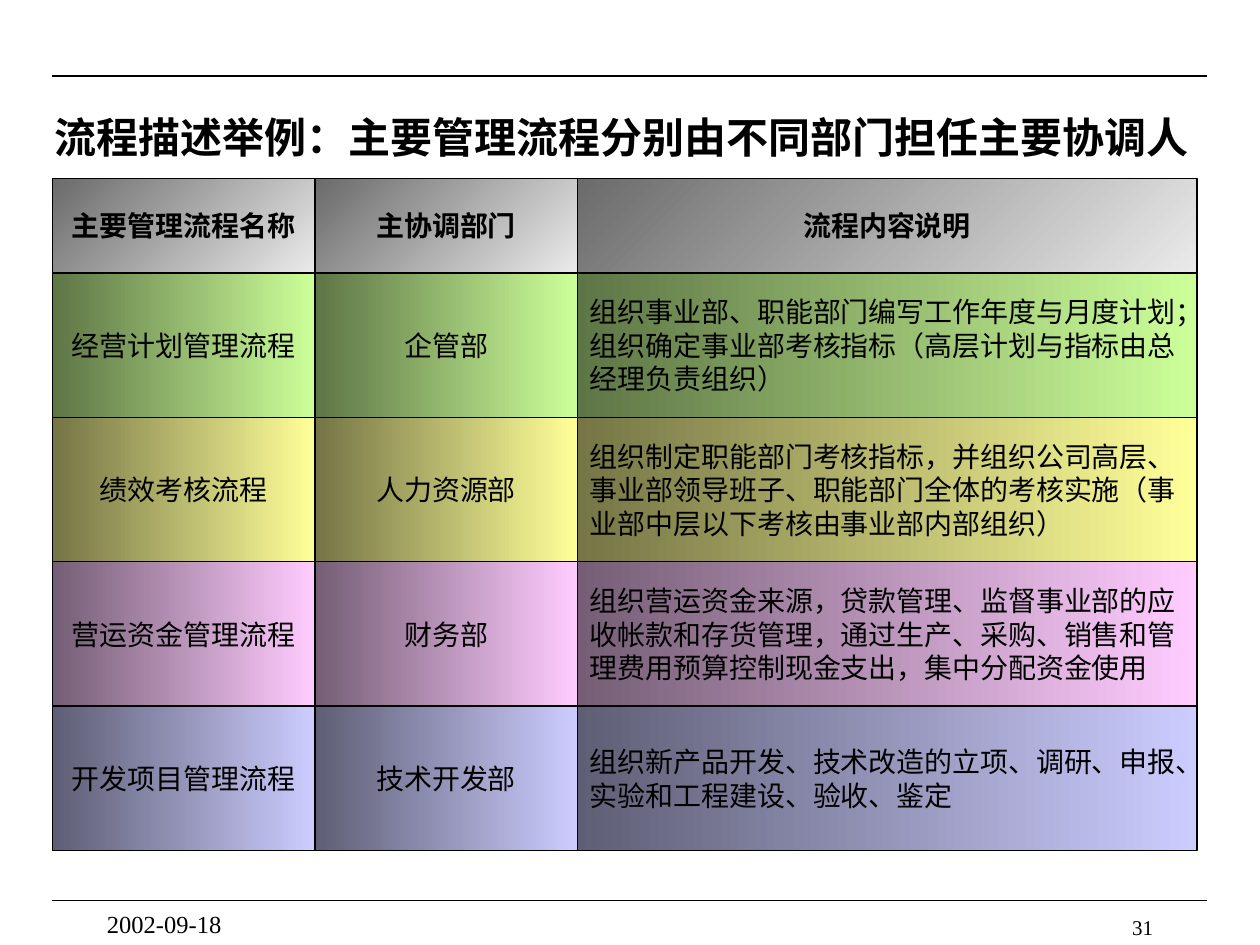
from typing import NamedTuple

from lxml.etree import SubElement
from pptx import Presentation
from pptx.dml.color import RGBColor
from pptx.enum.shapes import MSO_CONNECTOR, MSO_SHAPE
from pptx.enum.text import MSO_ANCHOR as Anchor, MSO_AUTO_SIZE, PP_ALIGN as Align
from pptx.oxml.ns import qn
from pptx.util import Pt

PX = 9525  # EMU per px, 96 px to the inch
FONT = "Times New Roman"
BLACK = "000000"


class Box(NamedTuple):
    left: int
    top: int
    width: int
    height: int

    def emu(self) -> list[int]:
        return [length * PX for length in self]


class Column(NamedTuple):
    width: int
    align: Align


class Row(NamedTuple):
    height: int
    light: str
    dark: str
    texts: tuple[str, str, str]
    angle: int = 180
    header: bool = False


GRID_LEFT, GRID_TOP = 40, 136
COLUMNS = [Column(200, Align.CENTER), Column(200, Align.CENTER), Column(472, Align.LEFT)]
ROWS = [
    Row(72, "EAEAEA", "6B6B6B",
        ("主要管理流程名称", "主协调部门", "流程内容说明"), angle=135, header=True),
    Row(110, "CCFF99", "5E7546",
        ("经营计划管理流程", "企管部",
         "组织事业部、职能部门编写工作年度与月度计划；组织确定事业部考核指标"
         "（高层计划与指标由总经理负责组织）")),
    Row(110, "FFFF99", "757546",
        ("绩效考核流程", "人力资源部",
         "组织制定职能部门考核指标，并组织公司高层、事业部领导班子、职能部门全体的考核实施"
         "（事业部中层以下考核由事业部内部组织）")),
    Row(110, "FFCCFF", "755E75",
        ("营运资金管理流程", "财务部",
         "组织营运资金来源，贷款管理、监督事业部的应收帐款和存货管理，"
         "通过生产、采购、销售和管理费用预算控制现金支出，集中分配资金使用")),
    Row(110, "CCCCFF", "5E5E75",
        ("开发项目管理流程", "技术开发部",
         "组织新产品开发、技术改造的立项、调研、申报、实验和工程建设、验收、鉴定")),
]


def rgb(value: str) -> RGBColor:
    return RGBColor.from_string(value)


def write(shape, text: str, size: int, align: Align, anchor: Anchor, bold: bool = False) -> None:
    frame = shape.text_frame
    frame.word_wrap = True
    frame.auto_size = MSO_AUTO_SIZE.NONE
    frame.vertical_anchor = anchor
    paragraph = frame.paragraphs[0]
    paragraph.alignment = align
    run = paragraph.add_run()
    run.text = text
    run.font.name = FONT
    run.font.size = Pt(size)
    run.font.bold = bold
    run.font.color.rgb = rgb(BLACK)


def add_rule(slide, y: int) -> None:
    left, right = 40 * PX, 920 * PX
    rule = slide.shapes.add_connector(MSO_CONNECTOR.STRAIGHT, left, y * PX, right, y * PX)
    rule.line.color.rgb = rgb(BLACK)
    rule.line.width = Pt(0.75)
    SubElement(rule._element.spPr, qn("a:effectLst"))


def add_cell(slide, box: Box, row: Row, text: str, align: Align) -> None:
    cell = slide.shapes.add_shape(MSO_SHAPE.RECTANGLE, *box.emu())
    cell.shadow.inherit = False
    cell.fill.gradient()
    cell.fill.gradient_angle = row.angle
    for stop, colour in zip(cell.fill.gradient_stops, (row.light, row.dark)):
        stop.color.rgb = rgb(colour)
    cell.line.color.rgb = rgb(BLACK)
    cell.line.width = Pt(0.75)
    write(cell, text, 16, Align.CENTER if row.header else align, Anchor.MIDDLE, row.header)


def add_grid(slide) -> None:
    top = GRID_TOP
    for row in ROWS:
        left = GRID_LEFT
        for column, text in zip(COLUMNS, row.texts):
            add_cell(slide, Box(left, top, column.width, row.height), row, text, column.align)
            left += column.width
        top += row.height


def add_footer(slide, box: Box, text: str, size: int, align: Align) -> None:
    footer = slide.shapes.add_textbox(*box.emu())
    write(footer, text, size, align, Anchor.TOP)


def main() -> None:
    deck = Presentation()
    deck.slide_width, deck.slide_height = 960 * PX, 720 * PX
    slide = deck.slides.add_slide(deck.slide_layouts[5])

    title = slide.shapes.title
    title.left, title.top, title.width, title.height = Box(32, 64, 896, 80).emu()
    write(title, "流程描述举例：主要管理流程分别由不同部门担任主要协调人", 24,
          Align.LEFT, Anchor.MIDDLE, bold=True)

    for y in (58, 686):
        add_rule(slide, y)
    add_grid(slide)
    add_footer(slide, Box(688, 692, 200, 16), "31", 12, Align.RIGHT)
    add_footer(slide, Box(72, 688, 200, 24), "2002-09-18", 14, Align.LEFT)
    deck.save("out.pptx")


if __name__ == "__main__":
    main()
